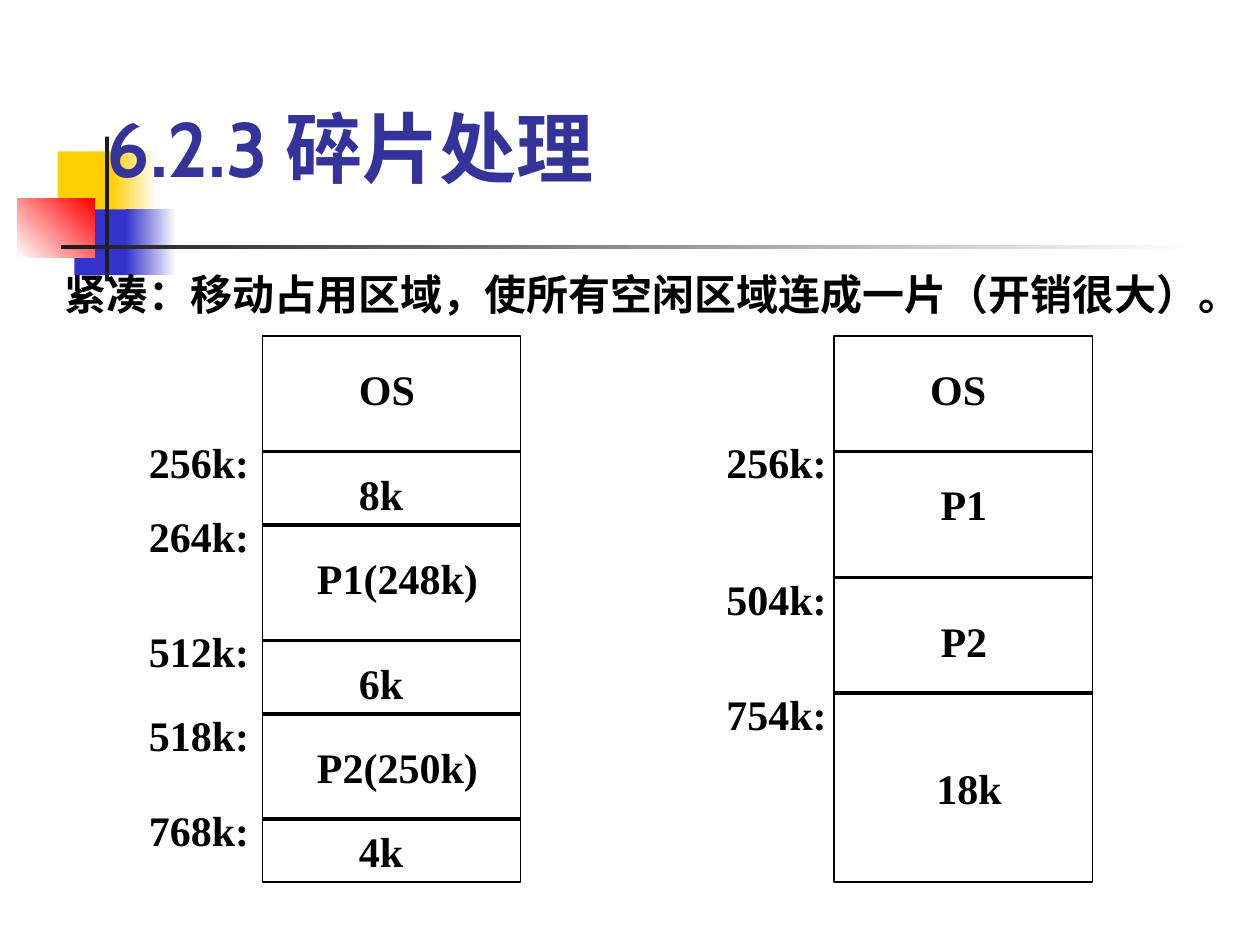
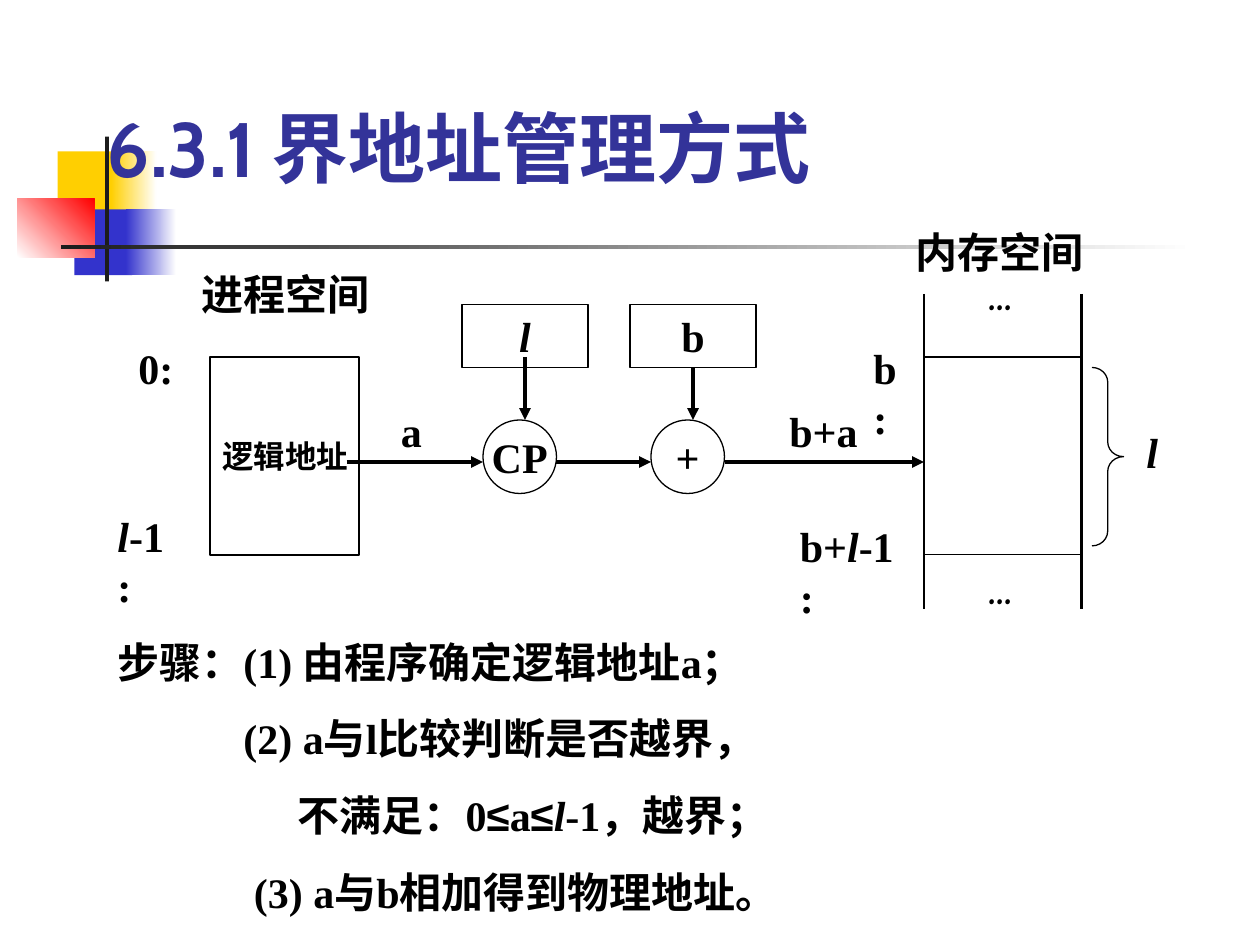
from lxml import etree
from pptx import Presentation
from pptx import util as u
from pptx.dml import color
from pptx.enum import shapes, text
from pptx.oxml import ns

BLACK, WHITE, TITLE_BLUE = "000000", "FFFFFF", "333399"
YELLOW, BLUE, RED, CHARCOAL = "FFCF01", "3333CC", "FF0000", "1C1C1C"
SERIF, SANS, TITLE_FONT, DOTS_FONT = "Times New Roman", "Arial", "Cabin", "Comic Neue"
ITALIC = {"italic": True}
ARIAL = {"font": SANS}
THIN, MEDIUM, THICK = 0.75, 1.25, 2.25
LABEL_HEIGHT = 36

DECORATION = [
    ((33, 86.5, 34.5, 37.5), (YELLOW,), 0),
    ((63.5, 86.5, 26, 37.5), (YELLOW, WHITE), 0),
    ((42.5, 119.7, 33, 37.5), (BLUE,), 0),
    ((72, 119.7, 28.8, 37.5), (BLUE, WHITE), 0),
    ((10, 113.7, 44, 33.4), (WHITE, RED), 45),
    ((60, 78, 2.3, 82.8), (CHARCOAL,), 0),
    ((34.8, 140, 648, 2.5), (CHARCOAL, WHITE), 0),
]

COMPACTION_TITLE = "6.2.3 碎片处理"
COMPACTION_NOTE = "紧凑：移动占用区域，使所有空闲区域连成一片（开销很大）。"
COLUMN_TOP, COLUMN_WIDTH, COLUMN_HEIGHT = 192, 147.6, 312
MEMORY_COLUMNS = [
    {
        "left": 150,
        "dividers": [258, 300, 366, 408, 468],
        "address_left": 78,
        "addresses": [("256k:", 246), ("264k:", 288), ("512k:", 354),
                      ("518k:", 402), ("768k:", 456)],
        "regions": [("OS", 174, 204, 96, 24), ("8k", 186, 264, 78, 12),
                    ("P1(248k)", 156, 312, 126, 18), ("6k", 186, 372, 78, 12),
                    ("P2(250k)", 168, 420, 120, 6), ("4k", 186, 468, 78, 12)],
    },
    {
        "left": 476.6,
        "dividers": [258, 330, 396],
        "address_left": 408,
        "addresses": [("256k:", 246), ("504k:", 324), ("754k:", 390)],
        "regions": [("OS", 500.4, 204, 96, 24), ("P1", 500.4, 270, 102, 30),
                    ("P2", 500.4, 348, 102, 30), ("18k", 528, 432, 60, 0)],
    },
]

BOUNDS_TITLE = "6.3.1 界地址管理方式"
PROCESS_BOX = (120, 204, 85, 113)
MEMORY_BOX = (528, 204, 90.4, 113)
MEMORY_EDGES = [(528, MEDIUM), (618, THICK)]
EDGE_TOP, EDGE_BOTTOM = 168, 348
BRACE = (624, 210, 18, 102)
REGISTERS = [([("l", ITALIC)], 264), ([("b", {})], 360)]
REGISTER_TOP, REGISTER_WIDTH = 174, 72
OPERATORS = [("CP", 276), ("+", 372)]
OPERATOR_TOP, OPERATOR_SIZE = 240, 42
FLOW_Y = 264
FLOW_ARROWS = [(198, 276), (318, 372), (414, 528)]
LIMIT_ARROW = (300, 204, 300, 240)
BASE_ARROW = (396, 210, 396, 240)
BOUNDS_LABELS = [
    ([("0:", {})], (72, 192, 36, 36)),
    ([("l", ITALIC), ("-1:", {})], (60, 288, 48, 65)),
    ([("...", {"font": DOTS_FONT})], (558, 150, 48, 36)),
    ([("...", {"font": DOTS_FONT})], (558, 318, 48, 36)),
    ([("b:", {})], (492, 192, 30, 65)),
    ([("l", ITALIC)], (648, 240, 36, 36)),
    ([("b+", {}), ("l", ITALIC), ("-1:", {})], (450, 294, 72, 65)),
    ([("逻辑地址", {"size": 18})], (120, 246, 96, 29)),
    ([("a", {})], (222, 228, 30, 36)),
    ([("b+a", {})], (444, 228, 60, 36)),
    ([("进程空间", {})], (108, 150, 120, 36)),
    ([("内存空间", {})], (516, 126, 120, 36)),
]
STEPS_BOX = (60, 360, 630, 168)
STEPS = [
    ([("步骤：(1) 由程序确定逻辑地址a；", {})], 0),
    ([("(2) a与l比较判断是否越界，", {})], 72),
    ([("不满足：0", {}), ("≤", ARIAL), ("a", {}), ("≤", ARIAL),
      ("l", ITALIC), ("-1，越界；", {})], 103),
    ([("(3) a与b相加得到物理地址。", {})], 78),
]


def rgb(value):
    return color.RGBColor.from_string(value)


def points(*values):
    return [u.Pt(value) for value in values]


def add_runs(paragraph, runs):
    for content, style in runs:
        run = paragraph.add_run()
        run.text = content
        font = run.font
        font.name = style.get("font", SERIF)
        font.size = u.Pt(style.get("size", 24))
        font.bold = True
        font.italic = style.get("italic", False)
        font.color.rgb = rgb(style.get("color", BLACK))


def add_text(slide, box, paragraphs, space_before=15, grow=True,
             anchor=text.MSO_ANCHOR.TOP):
    frame = slide.shapes.add_textbox(*points(*box)).text_frame
    frame.word_wrap = True
    frame.vertical_anchor = anchor
    if grow:
        frame.auto_size = text.MSO_AUTO_SIZE.SHAPE_TO_FIT_TEXT
    for index, (runs, indent) in enumerate(paragraphs):
        paragraph = frame.add_paragraph() if index else frame.paragraphs[0]
        paragraph.space_before = u.Pt(space_before)
        if indent:
            properties = paragraph._p.get_or_add_pPr()
            properties.set("marL", str(u.Pt(indent)))
            properties.set("indent", "0")
        add_runs(paragraph, runs)


def add_label(slide, content, left, top, width, indent=0):
    add_text(slide, (left, top, width, LABEL_HEIGHT), [([(content, {})], indent)])


def add_box(slide, box, line_width=THIN, runs=(), kind=shapes.MSO_SHAPE.RECTANGLE):
    shape = slide.shapes.add_shape(kind, *points(*box))
    shape.shadow.inherit = False
    shape.fill.solid()
    shape.fill.fore_color.rgb = rgb(WHITE)
    shape.line.color.rgb = rgb(BLACK)
    shape.line.width = u.Pt(line_width)
    if runs:
        frame = shape.text_frame
        frame.word_wrap = False
        frame.vertical_anchor = text.MSO_ANCHOR.MIDDLE
        frame.paragraphs[0].alignment = text.PP_ALIGN.CENTER
        add_runs(frame.paragraphs[0], runs)
    return shape


def add_line(slide, ends, width=THICK, arrow=False):
    connector = slide.shapes.add_connector(shapes.MSO_CONNECTOR.STRAIGHT, *points(*ends))
    connector.line.color.rgb = rgb(BLACK)
    connector.line.width = u.Pt(width)
    if arrow:
        head = etree.SubElement(connector.line._get_or_add_ln(), ns.qn("a:tailEnd"))
        head.set("type", "triangle")
    etree.SubElement(connector._element.spPr, ns.qn("a:effectLst"))
    return connector


def add_base(presentation, title):
    slide = presentation.slides.add_slide(presentation.slide_layouts[6])
    for box, colors, angle in DECORATION:
        shape = slide.shapes.add_shape(shapes.MSO_SHAPE.RECTANGLE, *points(*box))
        shape.shadow.inherit = False
        shape.line.fill.background()
        if len(colors) == 1:
            shape.fill.solid()
            shape.fill.fore_color.rgb = rgb(colors[0])
        else:
            shape.fill.gradient()
            shape.fill.gradient_angle = angle
            for stop, value in zip(shape.fill.gradient_stops, colors):
                stop.color.rgb = rgb(value)
    style = {"font": TITLE_FONT, "size": 44, "color": TITLE_BLUE}
    add_text(slide, (54, 24, 612, 90), [([(title, style)], 0)], space_before=0,
             grow=False, anchor=text.MSO_ANCHOR.BOTTOM)
    return slide


def build_compaction(presentation):
    slide = add_base(presentation, COMPACTION_TITLE)
    add_label(slide, COMPACTION_NOTE, 30, 150, 672)
    for column in MEMORY_COLUMNS:
        left = column["left"]
        add_box(slide, (left, COLUMN_TOP, COLUMN_WIDTH, COLUMN_HEIGHT))
        for y in column["dividers"]:
            add_line(slide, (left, y, left + COLUMN_WIDTH, y))
        for region in column["regions"]:
            add_label(slide, *region)
        for address, top in column["addresses"]:
            add_label(slide, address, column["address_left"], top, 78)


def build_bounds(presentation):
    slide = add_base(presentation, BOUNDS_TITLE)
    add_box(slide, PROCESS_BOX, MEDIUM)
    add_box(slide, MEMORY_BOX)
    for x, width in MEMORY_EDGES:
        add_line(slide, (x, EDGE_TOP, x, EDGE_BOTTOM), width)
    brace = add_box(slide, BRACE, kind=shapes.MSO_SHAPE.RIGHT_BRACE)
    brace.fill.background()
    brace.adjustments[0] = 0.47
    limit, base = [
        add_box(slide, (left, REGISTER_TOP, REGISTER_WIDTH, LABEL_HEIGHT), runs=runs)
        for runs, left in REGISTERS
    ]
    for symbol, left in OPERATORS:
        add_box(slide, (left, OPERATOR_TOP, OPERATOR_SIZE, OPERATOR_SIZE),
                runs=[(symbol, {})], kind=shapes.MSO_SHAPE.OVAL)
    for start, end in FLOW_ARROWS:
        add_line(slide, (start, FLOW_Y, end, FLOW_Y), arrow=True)
    add_line(slide, LIMIT_ARROW, arrow=True)
    add_line(slide, BASE_ARROW, arrow=True).begin_connect(base, 2)
    for runs, box in BOUNDS_LABELS:
        add_text(slide, box, [(runs, 0)])
    add_text(slide, STEPS_BOX, STEPS)


def main():
    presentation = Presentation()
    presentation.slide_width, presentation.slide_height = points(720, 540)
    build_compaction(presentation)
    build_bounds(presentation)
    presentation.save("out.pptx")


if __name__ == "__main__":
    main()
